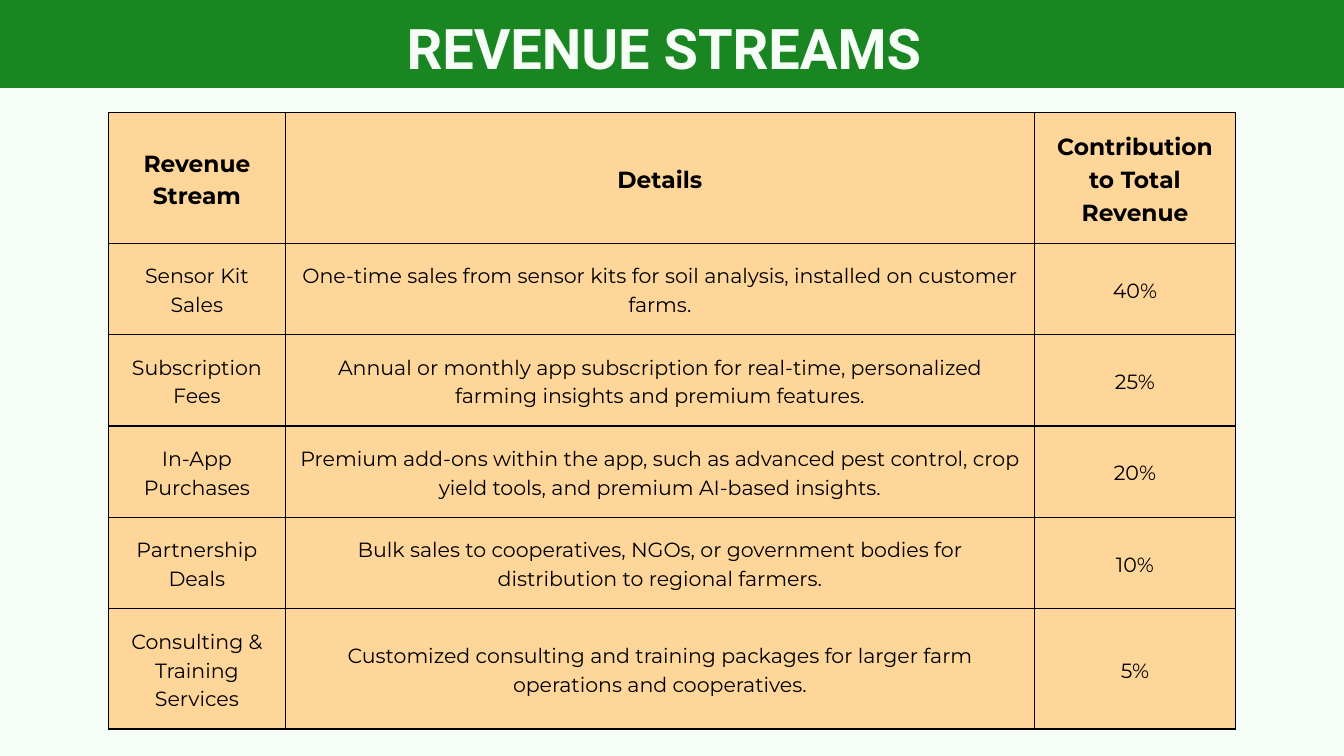
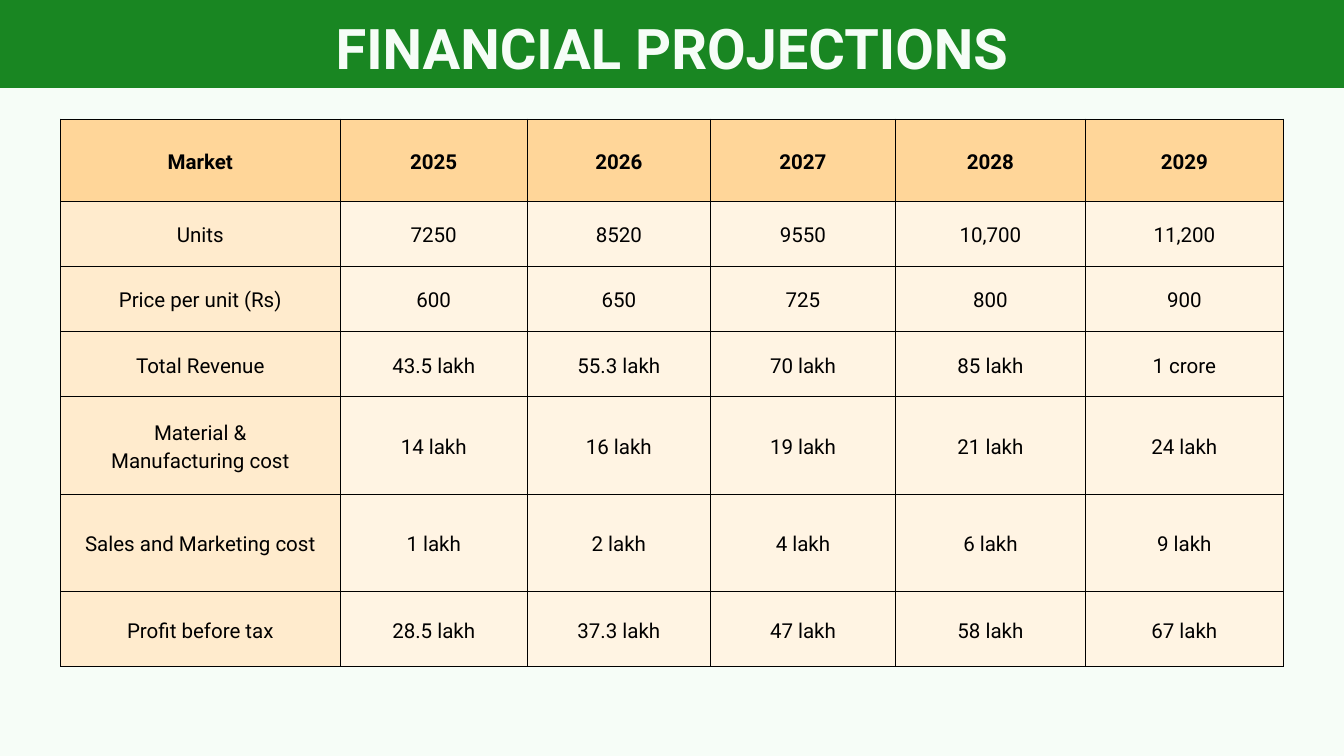
from dataclasses import dataclass

from lxml import etree
from pptx import Presentation
from pptx.dml.color import RGBColor
from pptx.enum.shapes import MSO_SHAPE as Shape
from pptx.enum.text import MSO_ANCHOR as Anchor, MSO_AUTO_SIZE as AutoSize, PP_ALIGN as Align
from pptx.oxml.ns import qn
from pptx.util import Inches, Pt


@dataclass(frozen=True)
class Theme:
    mint: str = "F6FDF7"
    green: str = "198622"
    black: str = "000000"
    orange: str = "FFD699"
    peach: str = "FFEBCD"
    cream: str = "FFF4E3"
    title_font: str = "Roboto"
    title_size: int = 60
    head_size: int = 25
    body_size: int = 22
    leading: float = 1.4  # line spacing as a multiple of the type size


theme = Theme()


def style_para(para, font, size, color, bold):
    """Centre a paragraph and format its text."""
    para.alignment = Align.CENTER
    para.line_spacing = Pt(round(size * theme.leading, 1))
    for name, value in {"name": font, "size": Pt(size), "bold": bold}.items():
        setattr(para.font, name, value)
    para.font.color.rgb = RGBColor.from_string(color)


def add_borders(cell, width):
    """Draw solid black lines on all four sides of a cell."""
    props = cell._tc.get_or_add_tcPr()
    for side in ("a:lnL", "a:lnR", "a:lnT", "a:lnB"):
        line = etree.SubElement(props, qn(side), w=str(Pt(width)))
        fill = etree.SubElement(line, qn("a:solidFill"))
        etree.SubElement(fill, qn("a:srgbClr"), val=theme.black)


# Content: fills are for the header row, the first column and the other cells
pages = [
    {
        "title": "REVENUE STREAMS",
        "title_box": (5.73, 0.04, 8.3, 1.1),
        "origin": (1.61, 1.68),
        "columns": [2.64, 11.14, 3],
        "heights": [1.94, 1.36, 1.36, 1.36, 1.36, 1.79],
        "font": "Montserrat",
        "head_size": theme.head_size,
        "margin": 0.21,
        "border": 1.5,
        "fills": (theme.orange, theme.orange, theme.orange),
        "rows": [
            ["Revenue Stream", "Details", "Contribution to Total Revenue"],
            ["Sensor Kit Sales",
             "One-time sales from sensor kits for soil analysis, installed on customer farms.",
             "40%"],
            ["Subscription Fees",
             "Annual or monthly app subscription for real-time, personalized farming "
             "insights and premium features.",
             "25%"],
            ["In-App Purchases",
             "Premium add-ons within the app, such as advanced pest control, crop yield "
             "tools, and premium AI-based insights.",
             "20%"],
            ["Partnership Deals",
             "Bulk sales to cooperatives, NGOs, or government bodies for distribution to "
             "regional farmers.",
             "10%"],
            ["Consulting & Training Services",
             "Customized consulting and training packages for larger farm operations and "
             "cooperatives.",
             "5%"],
        ],
    },
    {
        "title": "FINANCIAL PROJECTIONS",
        "title_box": (4.42, 0.04, 11.16, 1.1),
        "origin": (0.9, 1.77),
        "columns": [4.16, 2.79, 2.72, 2.76, 2.82, 2.95],
        "heights": [1.22, 0.97, 0.97, 0.97, 1.45, 1.45, 1.12],
        "font": "Roboto",
        "head_size": theme.body_size,
        "margin": 0,
        "border": 0.75,
        "fills": (theme.orange, theme.peach, theme.cream),
        "rows": [
            ["Market", "2025", "2026", "2027", "2028", "2029"],
            ["Units", "7250", "8520", "9550", "10,700", "11,200"],
            ["Price per unit (Rs)", "600", "650", "725", "800", "900"],
            ["Total Revenue", "43.5 lakh", "55.3 lakh", "70 lakh", "85 lakh", "1 crore"],
            ["Material &\nManufacturing cost",
             "14 lakh", "16 lakh", "19 lakh", "21 lakh", "24 lakh"],
            ["Sales and Marketing cost", "1 lakh", "2 lakh", "4 lakh", "6 lakh", "9 lakh"],
            ["Profit before tax", "28.5 lakh", "37.3 lakh", "47 lakh", "58 lakh", "67 lakh"],
        ],
    },
]

deck = Presentation()
deck.slide_width, deck.slide_height = Inches(20), Inches(11.25)
title_only = deck.slide_layouts[5]
sides = ("left", "top", "width", "height")
margins = ("margin_left", "margin_top", "margin_right", "margin_bottom")

for content in pages:
    page = deck.slides.add_slide(title_only)
    page.background.fill.solid()
    page.background.fill.fore_color.rgb = RGBColor.from_string(theme.mint)

    # Green band behind the title
    band = page.shapes.add_shape(Shape.RECTANGLE, 0, 0, deck.slide_width, Inches(1.31))
    band.shadow.inherit = False
    band.fill.solid()
    band.fill.fore_color.rgb = RGBColor.from_string(theme.green)
    band.line.fill.background()
    page.shapes._spTree.insert(2, band._element)

    # Title
    title = page.shapes.title
    for side, value in zip(sides, content["title_box"]):
        setattr(title, side, Inches(value))
    box = title.text_frame
    box.text = content["title"]
    frame_format = {"word_wrap": True, "auto_size": AutoSize.NONE, "vertical_anchor": Anchor.TOP}
    for name, value in (frame_format | dict.fromkeys(margins, 0)).items():
        setattr(box, name, value)
    style_para(box.paragraphs[0], theme.title_font, theme.title_size, theme.mint, True)

    # Table grid
    left, top = content["origin"]
    columns, heights = content["columns"], content["heights"]
    table = page.shapes.add_table(
        len(heights), len(columns), Inches(left), Inches(top),
        Inches(sum(columns)), Inches(sum(heights))).table
    table.first_row = table.horz_banding = False
    for column, width in zip(table.columns, columns):
        column.width = Inches(width)
    for row, height in zip(table.rows, heights):
        row.height = Inches(height)

    # Table cells
    head_fill, label_fill, value_fill = content["fills"]
    cell_format = {"vertical_anchor": Anchor.MIDDLE}
    cell_format |= dict.fromkeys(margins, Inches(content["margin"]))
    for r, texts in enumerate(content["rows"]):
        size = theme.body_size if r else content["head_size"]
        for c, text in enumerate(texts):
            cell = table.cell(r, c)
            cell.text = text
            for name, value in cell_format.items():
                setattr(cell, name, value)
            add_borders(cell, content["border"])
            color = head_fill if r == 0 else label_fill if c == 0 else value_fill
            cell.fill.solid()
            cell.fill.fore_color.rgb = RGBColor.from_string(color)
            for para in cell.text_frame.paragraphs:
                style_para(para, content["font"], size, theme.black, r == 0)

deck.save("out.pptx")
